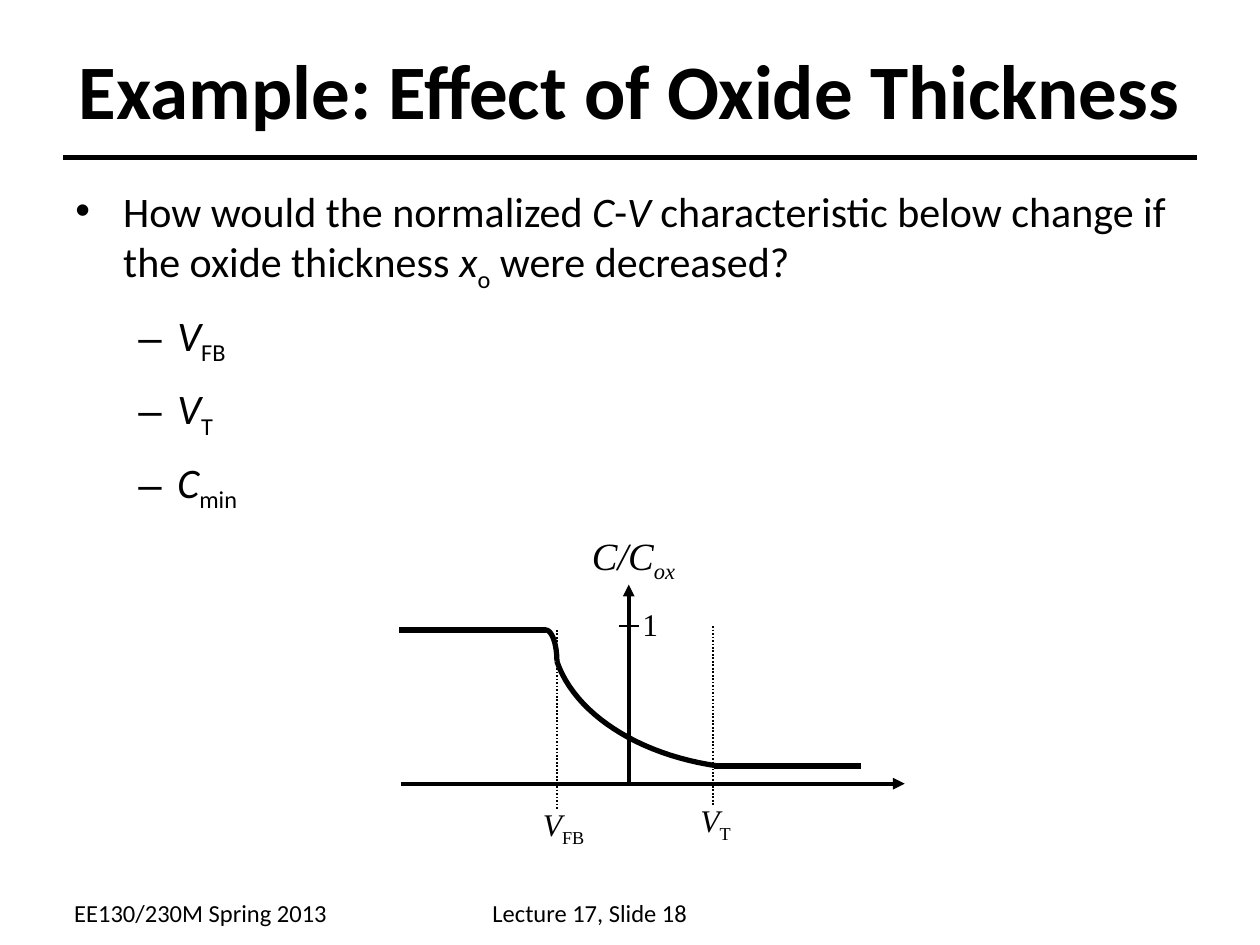
from lxml import etree
from pptx import Presentation
from pptx import util as u
from pptx.dml.color import RGBColor
from pptx.enum import dml, shapes, text
from pptx.oxml.ns import qn

BLACK = RGBColor(0, 0, 0)
SERIF = "Times New Roman"
SANS = "Calibri"


def add_runs(paragraph, runs, size, font):
    for content, style in runs:
        run = paragraph.add_run()
        run.text = content
        run.font.size = u.Pt(size)
        run.font.name = font
        run.font.color.rgb = BLACK
        run.font.bold = "b" in style
        run.font.italic = "i" in style
        if "s" in style:
            run.font._element.set("baseline", "-25000")


def add_text_box(left, top, width, height, wrap):
    box = slide.shapes.add_textbox(
        u.Inches(left), u.Inches(top), u.Inches(width), u.Inches(height))
    box.text_frame.word_wrap = wrap
    return box.text_frame


presentation = Presentation()
presentation.slide_width = u.Inches(10)
presentation.slide_height = u.Inches(7.5)
slide = presentation.slides.add_slide(presentation.slide_layouts[6])

title = add_text_box(0.5, 0.08, 9, 1.25, True)
title.vertical_anchor = text.MSO_ANCHOR.MIDDLE
title.paragraphs[0].alignment = text.PP_ALIGN.CENTER
add_runs(title.paragraphs[0], [("Example: Effect of Oxide Thickness", "b")], 44, SANS)

question = [
    ("How would the normalized ", ""), ("C", "i"), ("-", ""), ("V", "i"),
    (" characteristic below change if the oxide thickness ", ""),
    ("x", "i"), ("o", "s"), (" were decreased?", ""),
]
bullets = [(0, question)]
for symbol, subscript in [("V", "FB"), ("V", "T"), ("C", "min")]:
    bullets.append((1, [(symbol, "i"), (subscript, "s")]))

body = add_text_box(0.5, 1.42, 9, 5.28, True)
for index, (level, runs) in enumerate(bullets):
    paragraph = body.paragraphs[0] if index == 0 else body.add_paragraph()
    paragraph.level = level
    indent, hanging = [(0.38, 0.38), (0.81, 0.31)][level]
    properties = paragraph._p.get_or_add_pPr()
    properties.set("marL", str(u.Inches(indent)))
    properties.set("indent", str(-u.Inches(hanging)))
    etree.SubElement(properties, qn("a:buFont")).set("typeface", "Arial")
    etree.SubElement(properties, qn("a:buChar")).set("char", "•–"[level])
    if level:
        paragraph.line_spacing = 1.1
        paragraph.space_before = u.Pt(6)
    add_runs(paragraph, runs, 24, SANS)

labels = [
    (0.49, 7.08, 2.21, 0.34, 14, SANS, [("EE130/230M Spring 2013", "")]),
    (3.81, 7.08, 2.37, 0.34, 14, SANS, [("Lecture 17, Slide 18", "")]),
    (4.21, 6.34, 0.53, 0.44, 18, SERIF, [("V", "i"), ("FB", "s")]),
    (5.46, 6.31, 0.44, 0.44, 18, SERIF, [("V", "i"), ("T", "s")]),
    (4.6, 4.17, 0.86, 0.52, 22, SERIF, [("C/C", "i"), ("ox", "is")]),
    (5, 4.75, 0.32, 0.4, 18, SERIF, [("1", "")]),
]
for left, top, width, height, size, font, runs in labels:
    frame = add_text_box(left, top, width, height, False)
    add_runs(frame.paragraphs[0], runs, size, font)

lines = [
    (0.5, 1.25, 9.5, 1.25, 3, "solid"),
    (3.18, 6.22, 7.18, 6.22, 2.25, "arrow"),
    (4.99, 6.22, 4.99, 4.64, 2.25, "arrow"),
    (4.42, 5, 4.42, 6.42, 1, "dotted"),
    (5.66, 4.97, 5.66, 6.39, 1, "dotted"),
    (4.91, 4.97, 5.07, 4.97, 1, "solid"),
    (3.17, 5, 4.33, 5, 3, "solid"),
    (5.67, 6.08, 6.83, 6.08, 3, "solid"),
]
for x1, y1, x2, y2, weight, kind in lines:
    connector = slide.shapes.add_connector(
        shapes.MSO_CONNECTOR.STRAIGHT,
        u.Inches(x1), u.Inches(y1), u.Inches(x2), u.Inches(y2))
    connector.line.color.rgb = BLACK
    connector.line.width = u.Pt(weight)
    if kind == "dotted":
        connector.line.dash_style = dml.MSO_LINE.ROUND_DOT
    if kind == "arrow":
        arrowhead = etree.SubElement(connector.line._get_or_add_ln(), qn("a:tailEnd"))
        arrowhead.set("type", "triangle")
    etree.SubElement(connector._element.spPr, qn("a:effectLst"))

curves = [
    [(4.33, 5), (4.38, 5), (4.42, 5.11), (4.42, 5.25)],
    [(4.42, 5.25), (4.56, 5.66), (5.06, 5.99), (5.7, 6.08)],
]
steps = 24
for controls in curves:
    points = []
    for step in range(steps + 1):
        t = step / steps
        weights = [(1 - t) ** 3, 3 * t * (1 - t) ** 2, 3 * t ** 2 * (1 - t), t ** 3]
        points.append([
            u.Inches(sum(w * point[axis] for w, point in zip(weights, controls)))
            for axis in (0, 1)])
    builder = slide.shapes.build_freeform(*points[0])
    builder.add_line_segments(points[1:], close=False)
    shape = builder.convert_to_shape()
    shape.shadow.inherit = False
    shape.fill.background()
    shape.line.color.rgb = BLACK
    shape.line.width = u.Pt(3)

presentation.save("out.pptx")
